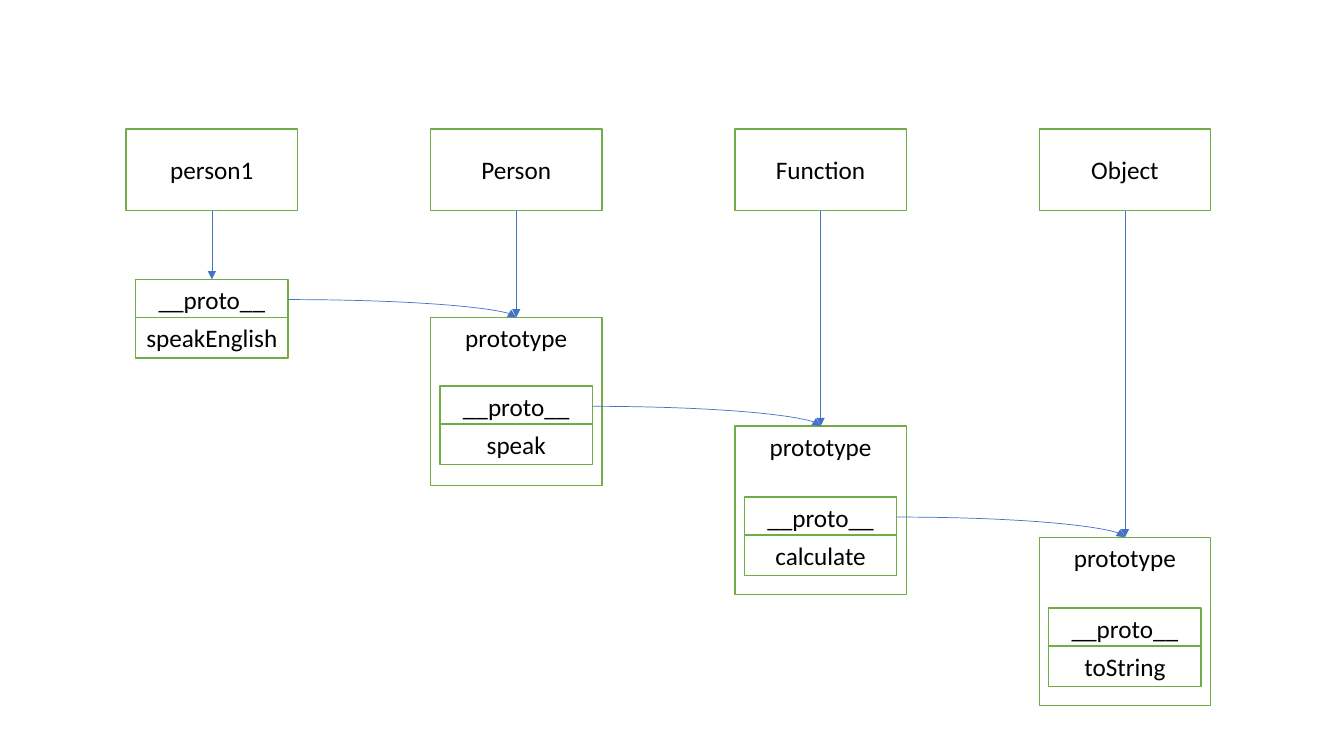
"""Build a slide of the prototype chain from person1 to Object."""
from lxml.etree import SubElement
from pptx import Presentation
from pptx.dml.color import RGBColor
from pptx.enum.shapes import MSO_CONNECTOR as Link, MSO_SHAPE as Form
from pptx.enum.text import MSO_ANCHOR as Anchor, PP_ALIGN as Align
from pptx.oxml.ns import qn
from pptx.util import Cm, Pt

ink = RGBColor.from_string


def add_box(home, text, left, top, width, height, anchor=Anchor.MIDDLE):
    box = home.add_shape(Form.RECTANGLE, Cm(left), Cm(top), Cm(width), Cm(height))
    box.shadow.inherit = False
    box.fill.solid()
    box.fill.fore_color.rgb = ink("FFFFFF")
    box.line.color.rgb = ink("70AD47")
    box.line.width = Pt(1)
    frame = box.text_frame
    frame.word_wrap = True
    frame.vertical_anchor = anchor
    frame.margin_left = frame.margin_right = Cm(0.1)
    para = frame.paragraphs[0]
    para.alignment = Align.CENTER
    run = para.add_run()
    run.text = text
    run.font.name = "Calibri"
    run.font.size = Pt(18)
    run.font.color.rgb = ink("000000")
    return box


def add_arrow(kind, start, site, end):
    arrow = shapes.add_connector(kind, 0, 0, 0, 0)
    arrow.begin_connect(start, site)
    arrow.end_connect(end, 0)
    arrow.line.color.rgb = ink("4472C4")
    arrow.line.width = Pt(0.5)
    props = arrow._element.spPr
    SubElement(props.find(qn("a:ln")), qn("a:tailEnd"), type="triangle")
    SubElement(props, qn("a:effectLst"))
    if kind == Link.CURVE:
        props.find(qn("a:prstGeom")).set("prst", "curvedConnector2")


deck = Presentation()
deck.slide_width, deck.slide_height = Cm(33.87), Cm(19.05)
shapes = deck.slides.add_slide(deck.slide_layouts[6]).shapes

chain = [
    ("person1", "speakEnglish", None, 7.04),
    ("Person", "speak", 8.0, 9.73),
    ("Function", "calculate", 10.74, 12.52),
    ("Object", "toString", 13.54, 15.32),
]
heads, goals, protos = [], [], []
for col, (name, method, top, slot) in enumerate(chain):
    left = 3.18 + col * 7.67
    heads.append(add_box(shapes, name, left, 3.25, 4.32, 2.06))
    home = shapes
    if top:
        home = shapes.add_group_shape().shapes
        goal = add_box(home, "prototype", left, top, 4.32, 4.24, Anchor.TOP)
    proto = add_box(home, "__proto__", left + 0.24, slot, 3.84, 1.02)
    add_box(home, method, left + 0.24, slot + 0.96, 3.84, 1.02)
    goals.append(goal if top else proto)
    protos.append(proto)

for proto, goal in zip(protos, goals[1:]):
    add_arrow(Link.CURVE, proto, 3, goal)
for head, goal in zip(heads, goals):
    add_arrow(Link.STRAIGHT, head, 2, goal)

deck.save("out.pptx")
